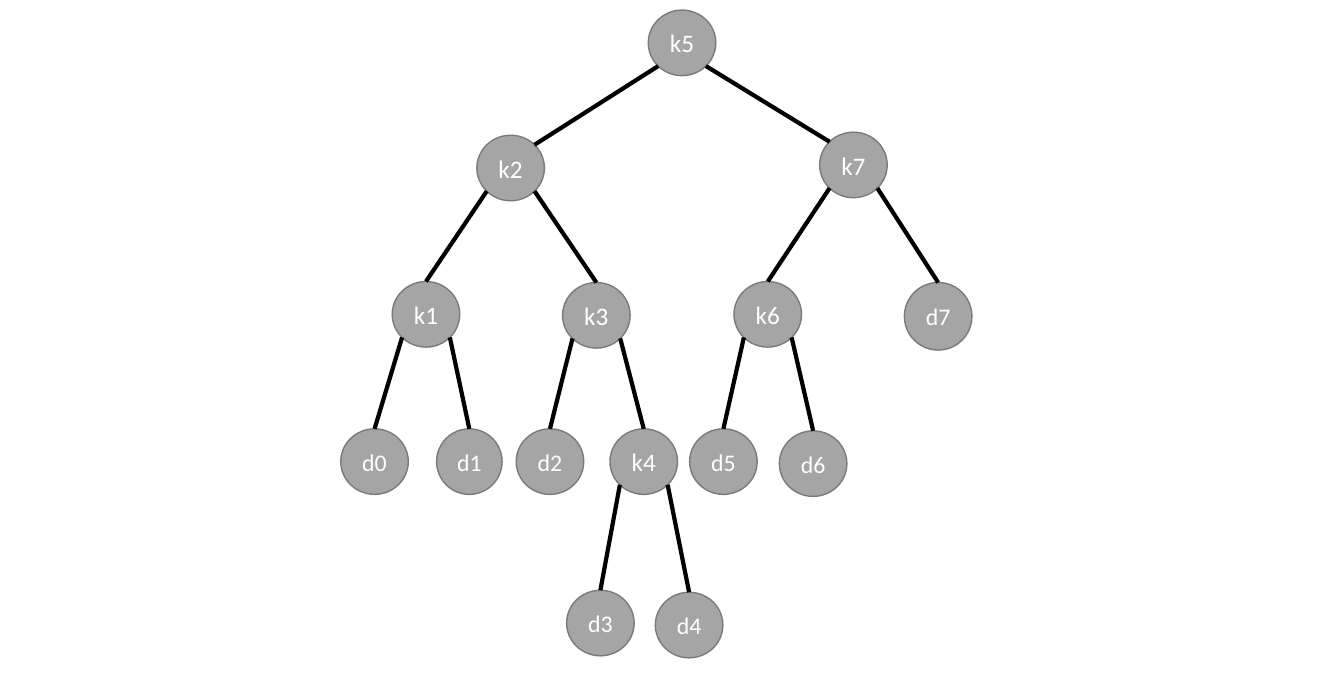
import math
from lxml import etree
from pptx import Presentation
from pptx.dml.color import RGBColor
from pptx.enum import shapes, text
from pptx.oxml import ns
from pptx.util import Inches, Pt

# name: (left, top) of each key (k) and leaf (d)
NODES = {
    "k5": (6.43, 0.1),
    "k2": (4.73, 1.34), "k7": (8.13, 1.31),
    "k1": (3.89, 2.79), "k3": (5.58, 2.8), "k6": (7.28, 2.79), "d7": (8.97, 2.8),
    "d0": (3.38, 4.25), "d1": (4.33, 4.25), "d2": (5.12, 4.25),
    "k4": (6.05, 4.25), "d5": (6.84, 4.25), "d6": (7.73, 4.27),
    "d3": (5.62, 5.85), "d4": (6.5, 5.87),
}
# parent: (left child, right child)
CHILDREN = {
    "k5": ("k2", "k7"),
    "k2": ("k1", "k3"), "k7": ("k6", "d7"),
    "k1": ("d0", "d1"), "k3": ("d2", "k4"), "k6": ("d5", "d6"),
    "k4": ("d3", "d4"),
}
ROOT = "k5"
WIDTH, HEIGHT = 0.67, 0.65
SPECIAL_SIZES = {"d7": (0.67, 0.67), "d1": (0.65, 0.65)}

THEME = {
    "font": "Calibri",
    "size": {"k": Pt(18), "d": Pt(17)},
    "text": RGBColor(0xFF, 0xFF, 0xFF),
    "fill": RGBColor(0xA5, 0xA5, 0xA5),
    "outline": RGBColor(0x7A, 0x7A, 0x7A),
    "edge": RGBColor(0, 0, 0),
}

# Ellipse connection sites, numbered anticlockwise from the top
TOP, TOP_LEFT, BOTTOM_LEFT, BOTTOM_RIGHT, TOP_RIGHT = 0, 1, 3, 5, 7


def add_node(slide, name):
    """Draw one labelled tree node."""
    left, top = NODES[name]
    width, height = SPECIAL_SIZES.get(name, (WIDTH, HEIGHT))
    shape = slide.shapes.add_shape(
        shapes.MSO_SHAPE.OVAL, Inches(left), Inches(top), Inches(width), Inches(height))
    shape.shadow.inherit = False
    shape.fill.solid()
    shape.fill.fore_color.rgb = THEME["fill"]
    shape.line.color.rgb = THEME["outline"]
    shape.line.width = Pt(1)
    frame = shape.text_frame
    frame.word_wrap = False
    frame.vertical_anchor = text.MSO_ANCHOR.MIDDLE
    paragraph = frame.paragraphs[0]
    paragraph.alignment = text.PP_ALIGN.CENTER
    run = paragraph.add_run()
    run.text = name
    run.font.name = THEME["font"]
    run.font.size = THEME["size"][name[0]]
    run.font.color.rgb = THEME["text"]
    return shape


def site_point(node, site):
    """Return the point of a connection site on a node's outline."""
    angle = site * math.pi / 4
    x = node.left + node.width / 2 * (1 - math.sin(angle))
    y = node.top + node.height / 2 * (1 - math.cos(angle))
    return round(x), round(y)


def add_edge(slide, parent, parent_site, child, child_site):
    """Join two nodes with a line attached at both ends."""
    connector = slide.shapes.add_connector(
        shapes.MSO_CONNECTOR.STRAIGHT,
        *site_point(parent, parent_site), *site_point(child, child_site))
    connector.line.color.rgb = THEME["edge"]
    connector.line.width = Pt(3)
    element = connector._element
    etree.SubElement(element.spPr, ns.qn("a:effectLst"))
    links = element.find(".//" + ns.qn("p:cNvCxnSpPr"))
    for tag, node, site in (("a:stCxn", parent, parent_site), ("a:endCxn", child, child_site)):
        etree.SubElement(links, ns.qn(tag), id=str(node.shape_id), idx=str(site))


def main():
    """Build the binary search tree slide."""
    presentation = Presentation()
    presentation.slide_width, presentation.slide_height = Inches(13.33), Inches(6.71)
    slide = presentation.slides.add_slide(presentation.slide_layouts[6])
    nodes = {name: add_node(slide, name) for name in NODES}
    for parent, children in CHILDREN.items():
        child_sites = (TOP_RIGHT, TOP_LEFT) if parent == ROOT else (TOP, TOP)
        for child, start, end in zip(children, (BOTTOM_LEFT, BOTTOM_RIGHT), child_sites):
            add_edge(slide, nodes[parent], start, nodes[child], end)
    presentation.save("out.pptx")


main()
